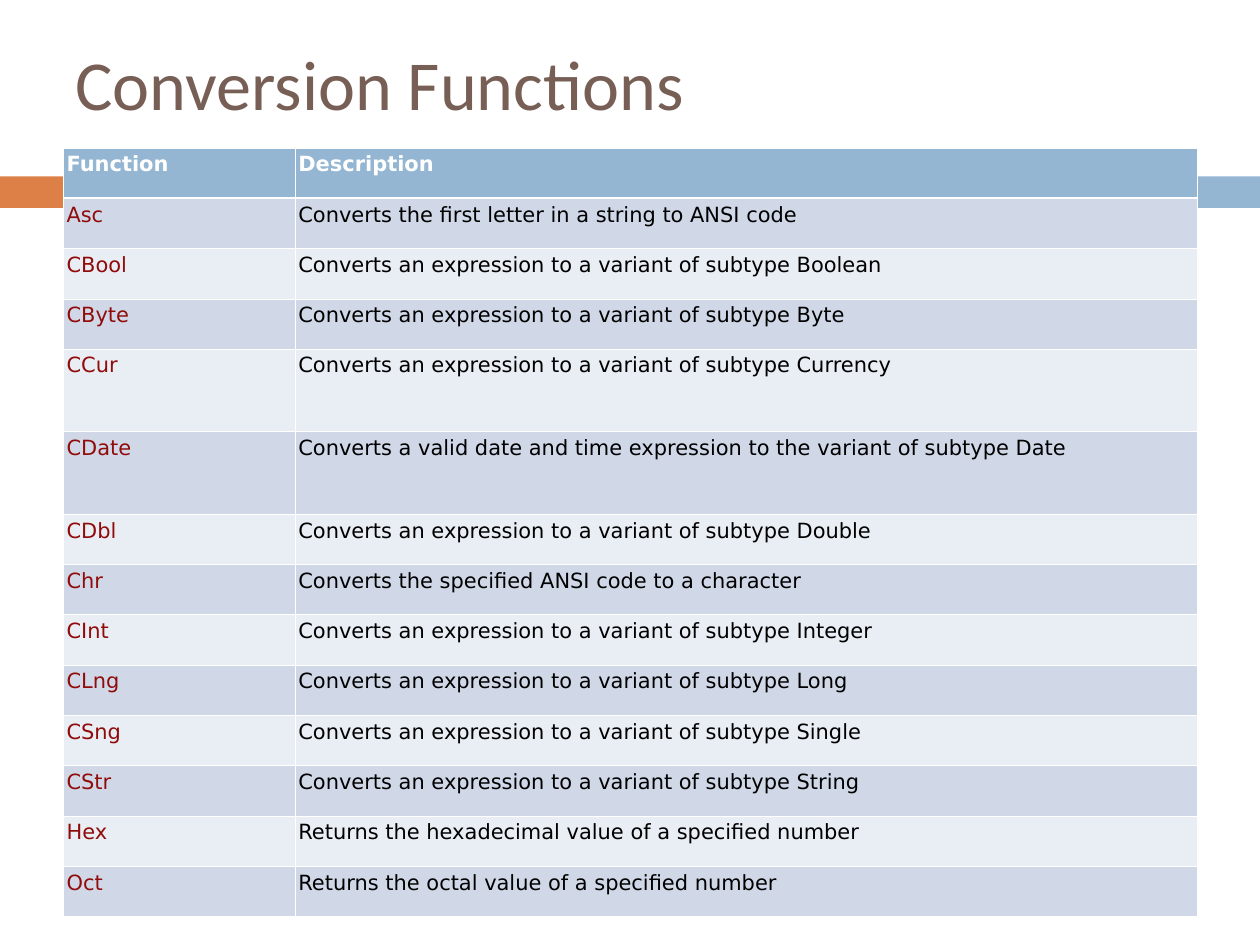
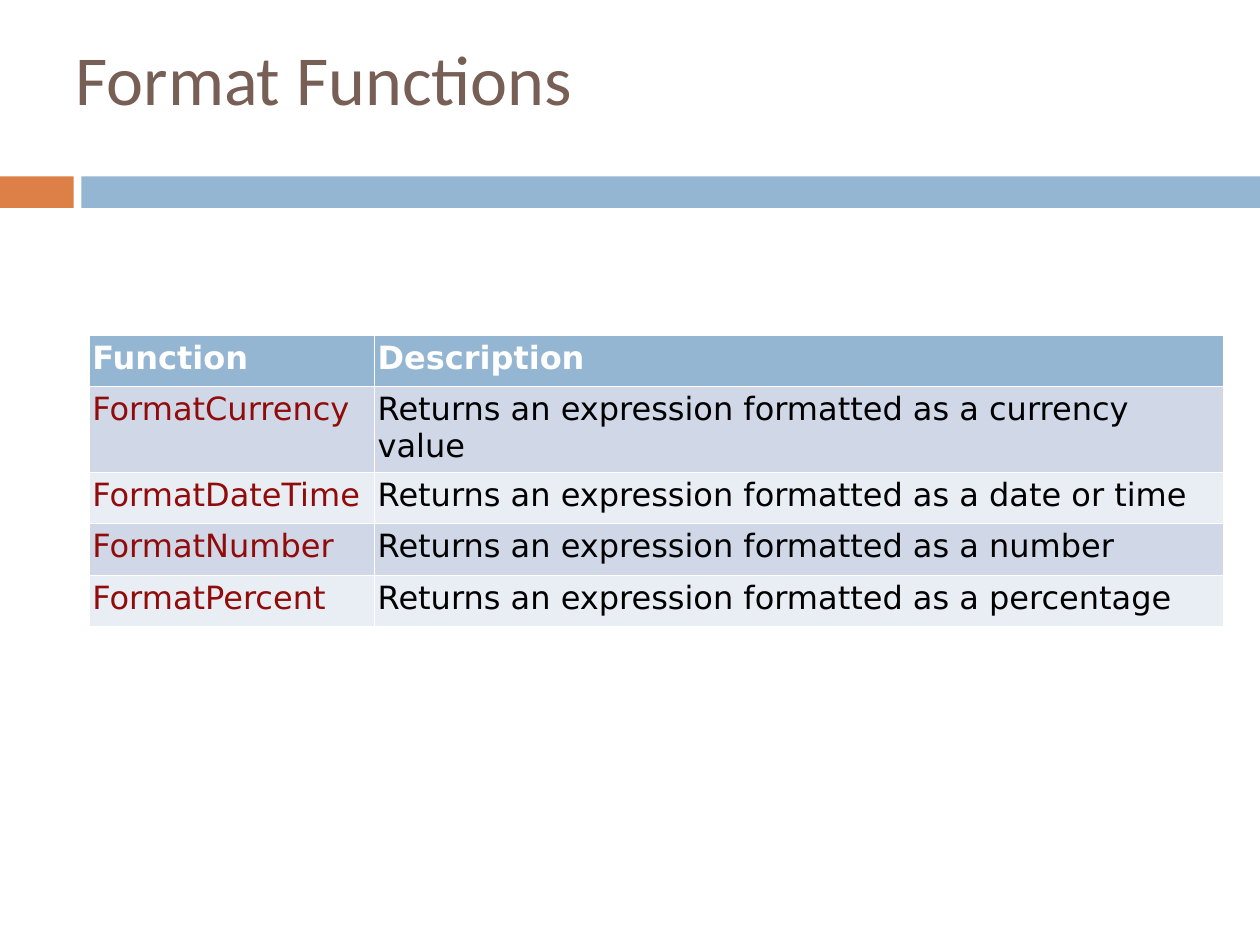
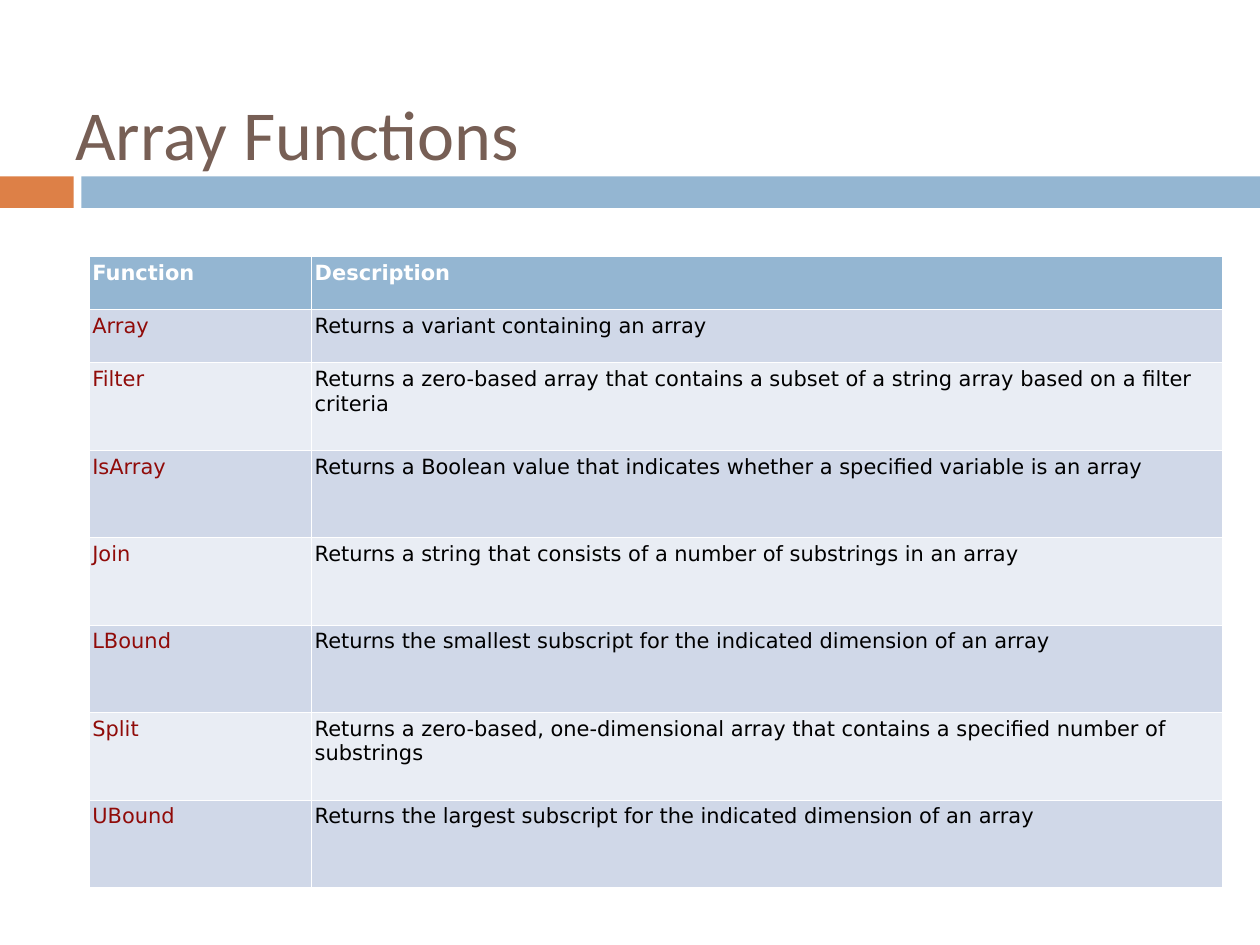
from itertools import accumulate
from lxml.etree import SubElement
from pptx import Presentation
from pptx.dml.color import RGBColor as Rgb
from pptx.enum.shapes import MSO_SHAPE as Preset
from pptx.enum.text import MSO_ANCHOR as Anchor
from pptx.oxml.ns import qn
from pptx.util import Inches, Pt

ORANGE = Rgb(0xDD, 0x80, 0x47)
BLUE = Rgb(0x94, 0xB6, 0xD2)
BROWN = Rgb(0x77, 0x5F, 0x55)
DARK_RED = Rgb(0x90, 0x0B, 0x09)
BLACK = Rgb(0x00, 0x00, 0x00)
WHITE = Rgb(0xFF, 0xFF, 0xFF)
STRIPES = (Rgb(0xE9, 0xED, 0xF4), Rgb(0xD0, 0xD8, 0xE8))

TITLE_FONT = "Calibri"
TABLE_FONT = "DejaVu Sans"
SLIDE_WIDTH = Inches(14.22)
SLIDE_HEIGHT = Inches(10.66)
GRID = 20
TABLE_COLUMNS = 18
TALL_ROW = 1.64
THIN_LINE = Pt(0.45)
HEADER_LINE = Pt(1.47)

HEADER = ("Function", "Description")
VARIANT = "Converts an expression to a variant of subtype "
FORMATTED = "Returns an expression formatted as a "

CONVERSION = [
    ("Asc", "Converts the first letter in a string to ANSI code"),
    ("CBool", VARIANT + "Boolean"),
    ("CByte", VARIANT + "Byte"),
    ("CCur", VARIANT + "Currency"),
    ("CDate", "Converts a valid date and time expression to the variant of subtype Date"),
    ("CDbl", VARIANT + "Double"),
    ("Chr", "Converts the specified ANSI code to a character"),
    ("CInt", VARIANT + "Integer"),
    ("CLng", VARIANT + "Long"),
    ("CSng", VARIANT + "Single"),
    ("CStr", VARIANT + "String"),
    ("Hex", "Returns the hexadecimal value of a specified number"),
    ("Oct", "Returns the octal value of a specified number"),
]
FORMAT = [
    ("FormatCurrency", FORMATTED + "currency value"),
    ("FormatDateTime", FORMATTED + "date or time"),
    ("FormatNumber", FORMATTED + "number"),
    ("FormatPercent", FORMATTED + "percentage"),
]
ARRAY = [
    ("Array", "Returns a variant containing an array"),
    ("Filter", "Returns a zero-based array that contains a subset of a string array "
               "based on a filter criteria"),
    ("IsArray", "Returns a Boolean value that indicates whether a specified variable is an array"),
    ("Join", "Returns a string that consists of a number of substrings in an array"),
    ("LBound", "Returns the smallest subscript for the indicated dimension of an array"),
    ("Split", "Returns a zero-based, one-dimensional array that contains a specified "
              "number of substrings"),
    ("UBound", "Returns the largest subscript for the indicated dimension of an array"),
]


def columns(count):
    return round(SLIDE_WIDTH * count / GRID)


def rows(count):
    return round(SLIDE_HEIGHT * count / GRID)


def style_text(frame, font_name, size, color, bold=False):
    for para in frame.paragraphs:
        for span in para.runs:
            span.font.name = font_name
            span.font.size = Pt(size)
            span.font.color.rgb = color
            span.font.bold = bold


def add_band(page, left, right, color):
    band = page.shapes.add_shape(
        Preset.RECTANGLE, columns(left), rows(3.73), columns(right - left), rows(0.67))
    band.shadow.inherit = False
    band.fill.solid()
    band.fill.fore_color.rgb = color
    band.line.fill.background()


def add_title(page, text, height):
    box = page.shapes.add_textbox(columns(1), rows(0.9), columns(TABLE_COLUMNS), rows(height))
    frame = box.text_frame
    frame.word_wrap = True
    frame.vertical_anchor = Anchor.MIDDLE
    frame.margin_left = frame.margin_right = Inches(0.14)
    frame.margin_top = frame.margin_bottom = 0
    frame.text = text
    style_text(frame, TITLE_FONT, 57, BROWN)


def add_page(deck, title, title_height):
    page = deck.slides.add_slide(deck.slide_layouts[6])
    add_band(page, 0, 1.17, ORANGE)
    add_band(page, 1.29, GRID, BLUE)
    add_title(page, title, title_height)
    return page


def set_borders(cell, top, bottom):
    properties = cell._tc.get_or_add_tcPr()
    widths = {"a:lnL": THIN_LINE, "a:lnR": THIN_LINE, "a:lnT": top, "a:lnB": bottom}
    for tag, width in widths.items():
        line = SubElement(properties, qn(tag), w=str(int(width)))
        fill = SubElement(line, qn("a:solidFill"))
        SubElement(fill, qn("a:srgbClr"), val=str(WHITE))


def fill_cell(cell, text, size, row, column):
    is_header = row == 0
    set_borders(cell,
                HEADER_LINE if row == 1 else THIN_LINE,
                HEADER_LINE if is_header else THIN_LINE)
    cell.fill.solid()
    cell.fill.fore_color.rgb = BLUE if is_header else STRIPES[row % 2]
    cell.margin_left = cell.margin_right = Inches(0.04)
    cell.margin_top = cell.margin_bottom = Inches(0.05)
    cell.text_frame.text = text
    color = WHITE if is_header else (DARK_RED, BLACK)[column]
    style_text(cell.text_frame, TABLE_FONT, size, color, is_header)


def add_function_table(page, functions, left, top, height, name_width, size, tall_rows):
    entries = [HEADER, *functions]
    table = page.shapes.add_table(
        len(entries), len(HEADER), columns(left), rows(top),
        columns(TABLE_COLUMNS), rows(height)).table
    table.first_row = table.horz_banding = False
    table.columns[0].width = columns(name_width)
    table.columns[1].width = columns(TABLE_COLUMNS - name_width)
    weights = [TALL_ROW if row in tall_rows else 1 for row in range(len(entries))]
    edges = [rows(height * edge / sum(weights)) for edge in accumulate(weights, initial=0)]
    for row, entry in enumerate(entries):
        table.rows[row].height = edges[row + 1] - edges[row]
        for column, text in enumerate(entry):
            fill_cell(table.cell(row, column), text, size, row, column)


def main():
    deck = Presentation()
    deck.slide_width = SLIDE_WIDTH
    deck.slide_height = SLIDE_HEIGHT

    page = add_page(deck, "Conversion Functions", 1.71)
    add_function_table(page, CONVERSION, left=1, top=3.13, height=16.27,
                       name_width=3.68, size=17, tall_rows=(4, 5))

    page = add_page(deck, "Format Functions", 1.48)
    add_function_table(page, FORMAT, left=1.41, top=7.09, height=6.14,
                       name_width=4.53, size=26, tall_rows=(1,))

    page = add_page(deck, "Array Functions", 3.79)
    add_function_table(page, ARRAY, left=1.41, top=5.42, height=13.36,
                       name_width=3.53, size=17, tall_rows=range(2, 8))

    deck.save("out.pptx")


if __name__ == "__main__":
    main()
